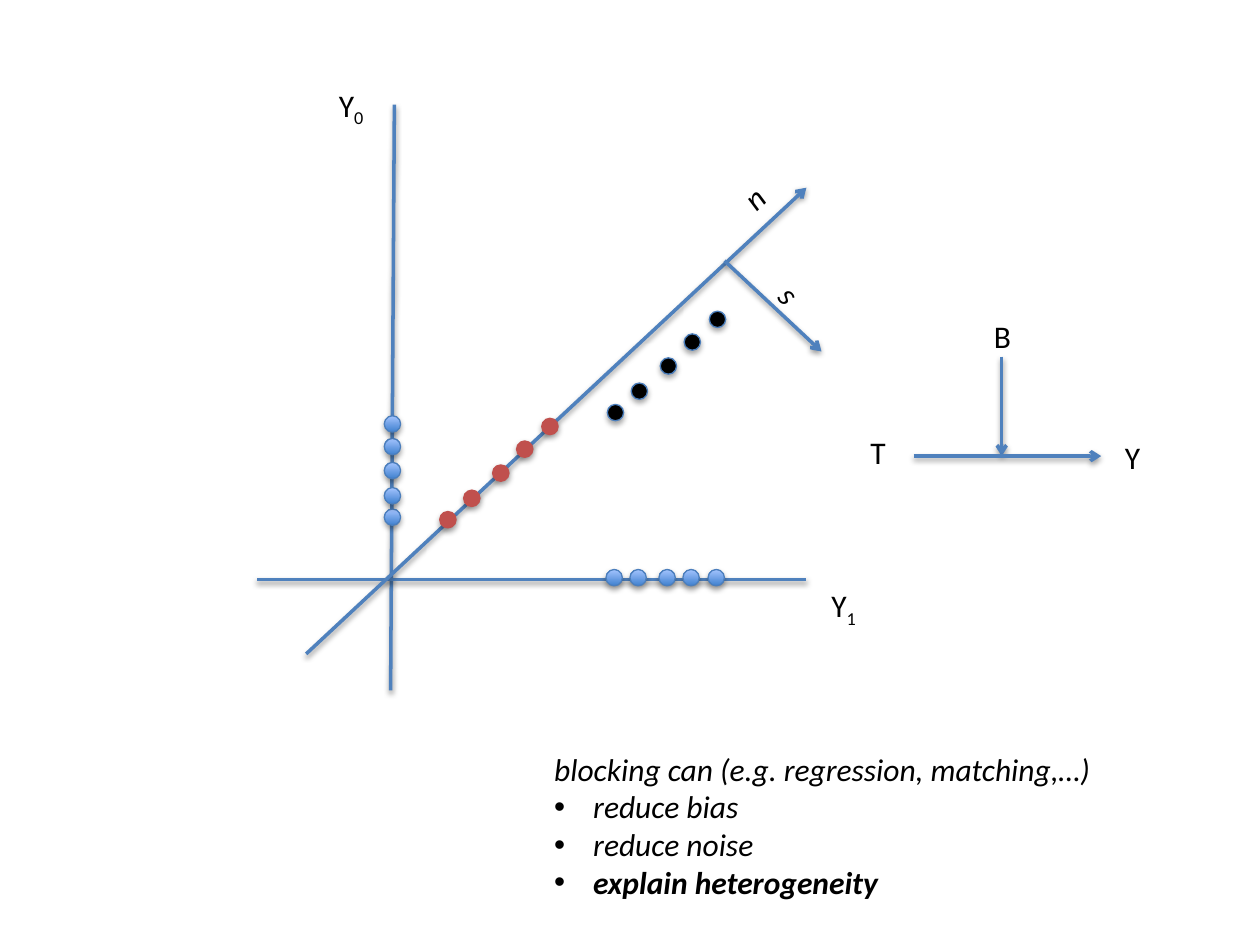
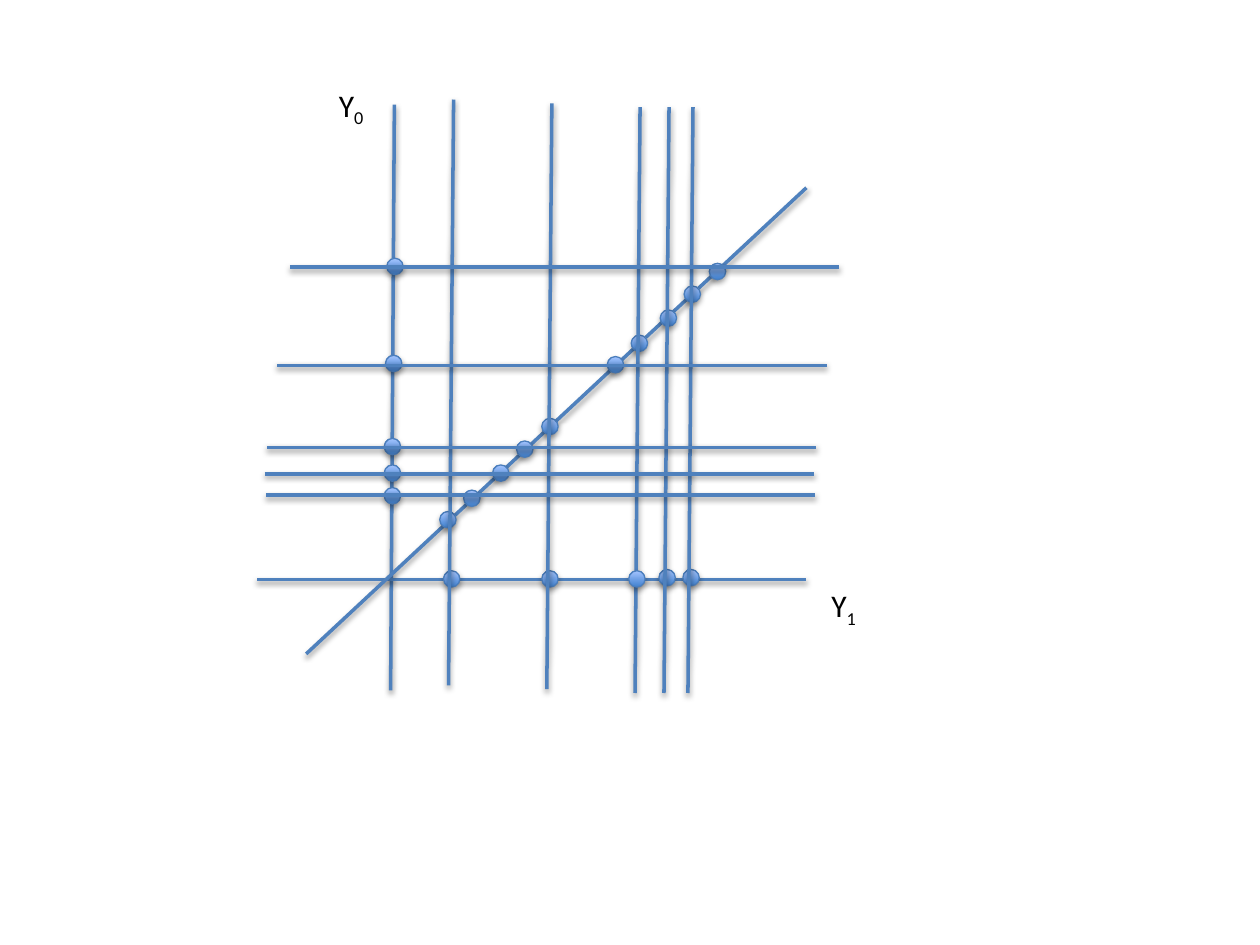
from pptx import Presentation
from pptx.dml.color import RGBColor
from pptx.enum import shapes, text
from pptx.oxml import parse_xml
from pptx.oxml.ns import nsdecls
from pptx.util import Inches, Pt

rgb = RGBColor.from_string
BLUE, EDGE, RED, BLACK = "4F81BD", "4B7EBC", "C0504D", "000000"
DOT = 0.13
SHADOW = (
    "<a:effectLst %s><a:outerShdw blurRad='40000' dist='{}' dir='5400000' rotWithShape='0'>"
    "<a:srgbClr val='000000'><a:alpha val='{}'/></a:srgbClr></a:outerShdw></a:effectLst>" % nsdecls("a")
)


def add_lines(s, ends, arrow=False):
    for points in ends:
        sp = s.shapes.add_connector(shapes.MSO_CONNECTOR.STRAIGHT, *[Inches(v) for v in points])
        sp.line.color.rgb = rgb(BLUE)
        sp.line.width = Pt(2)
        if arrow:
            sp.line._get_or_add_ln().append(parse_xml("<a:tailEnd %s type='arrow'/>" % nsdecls("a")))
        sp._element.spPr.append(parse_xml(SHADOW.format(20000, 38000)))


def add_dots(s, spots, fill=None, edge=EDGE):
    for x, y in spots:
        sp = s.shapes.add_shape(shapes.MSO_SHAPE.OVAL, Inches(x), Inches(y), Inches(DOT), Inches(DOT))
        if fill:
            sp.fill.solid()
            sp.fill.fore_color.rgb = rgb(fill)
        else:
            sp.fill.gradient()
            sp.fill.gradient_angle = 90
            for stop, colour in zip(sp.fill.gradient_stops, ("3F80CE", "A4C4FF")):
                stop.color.rgb = rgb(colour)
        sp.line.color.rgb = rgb(edge)
        sp.line.width = Pt(0.75)
        sp._element.spPr.append(parse_xml(SHADOW.format(23000, 35000)))


prs = Presentation()
prs.slide_width, prs.slide_height = Inches(10), Inches(7.5)
blocking, grid = [prs.slides.add_slide(prs.slide_layouts[6]) for _ in range(2)]

diagonal = [(2.43, 5.19, 6.4, 1.49)]
for s in (blocking, grid):
    add_lines(s, [(3.13, 0.83, 3.1, 5.48), (2.04, 4.6, 6.4, 4.6)])
    add_lines(s, diagonal, arrow=s is blocking)

low = [(3.49, 4.06), (3.68, 3.89), (3.91, 3.69), (4.1, 3.5), (4.3, 3.32)]
add_dots(blocking, low, RED, RED)
add_dots(blocking, [(x + 1.33, y - 0.85) for x, y in low], BLACK)
add_dots(blocking, [(3.05, y - 0.02) for x, y in low])
add_dots(blocking, [(x + 1.32, 4.52) for x, y in low])
add_lines(blocking, [(7.95, 2.83, 7.95, 3.62), (5.75, 2.07, 6.52, 2.79), (7.25, 3.62, 8.74, 3.62)], True)

add_dots(grid, low + [(x + 1.33, y - 1.23) for x, y in low])
add_dots(grid, [(3.05, 3.87), (3.05, 3.48), (3.06, 2.82)])
add_dots(grid, [(3.52, 4.53), (4.3, 4.53), (5.23, 4.52), (5.42, 4.52)])
add_lines(grid, [(x, y, x - 0.04, y + 4.65) for x, y in
                 ((3.6, 0.79), (4.38, 0.82), (5.31, 0.85), (5.5, 0.85), (5.08, 0.85))])
add_dots(grid, [(3.05, 3.69), (3.07, 2.05), (4.99, 4.53)])
add_lines(grid, [(x, y, x + 4.36, y) for x, y in
                 ((2.2, 2.9), (2.3, 2.12), (2.12, 3.55), (2.11, 3.93), (2.1, 3.76))])

axis_labels = [
    (s, x, y, 0.41, 0.4, 0, False, False, [["Y", sub]])
    for s in (blocking, grid)
    for x, y, sub in ((2.59, 0.63, "0"), (6.5, 4.6, "1"))
]
blocking_labels = [
    (blocking, 8.83, 3.43, 0.34, 0.4, 0, True, False, [["Y"]]),
    (blocking, 6.81, 3.39, 0.44, 0.4, 0, True, False, [["T"]]),
    (blocking, 7.79, 2.47, 0.47, 0.4, 0, True, False, [["B"]]),
    (blocking, 5.81, 1.35, 0.39, 0.4, 316.7, False, True, [["n"]]),
    (blocking, 6.11, 2.16, 0.36, 0.4, 47.6, False, True, [["s"]]),
    (blocking, 4.3, 5.9, 4.78, 1.31, 0, True, True, [
        ["blocking can (e.g. regression, matching,…)"],
        ["reduce bias"], ["reduce noise"], ["explain heterogeneity"],
    ]),
]
for s, x, y, w, h, turn, wrap, italic, paragraphs in axis_labels + blocking_labels:
    sp = s.shapes.add_textbox(Inches(x), Inches(y), Inches(w), Inches(h))
    sp.rotation = turn
    tf = sp.text_frame
    tf.word_wrap = wrap
    tf.auto_size = text.MSO_AUTO_SIZE.SHAPE_TO_FIT_TEXT
    for i, runs in enumerate(paragraphs):
        p = tf.add_paragraph() if i else tf.paragraphs[0]
        if i:
            pPr = p._p.get_or_add_pPr()
            pPr.set("marL", str(Inches(0.31)))
            pPr.set("indent", str(-Inches(0.31)))
            pPr.append(parse_xml("<a:buFont %s typeface='Arial'/>" % nsdecls("a")))
            pPr.append(parse_xml("<a:buChar %s char='•'/>" % nsdecls("a")))
        for j, words in enumerate(runs):
            r = p.add_run()
            r.text = words
            bold = words == "explain heterogeneity"
            for key, value in dict(name="Calibri", size=Pt(18), italic=italic, bold=bold).items():
                setattr(r.font, key, value)
            r.font.color.rgb = rgb(BLACK)
            if j:
                r._r.get_or_add_rPr().set("baseline", "-25000")

prs.save("out.pptx")
